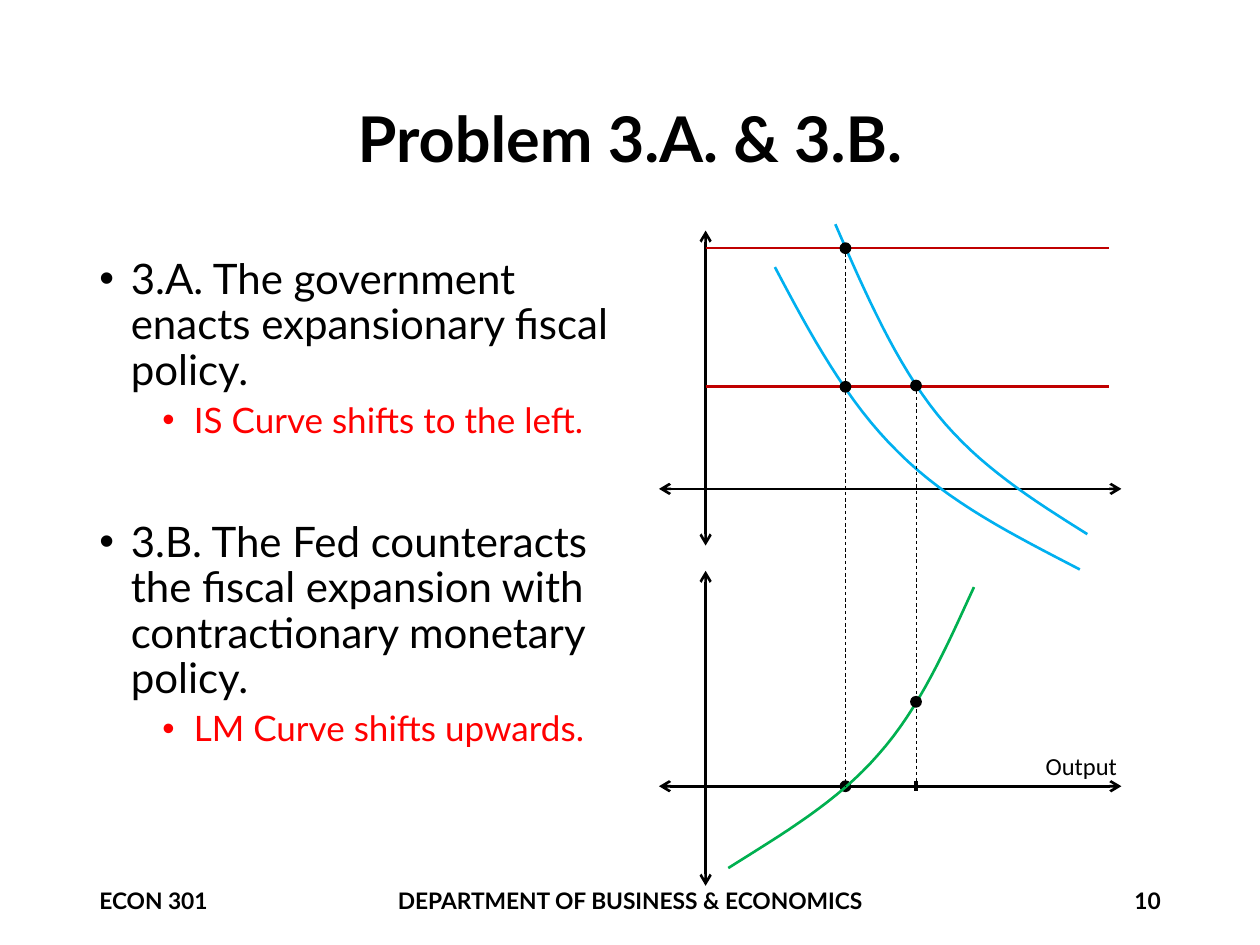
import pptx
import pptx.dml.color
import pptx.enum.dml
import pptx.enum.shapes
import pptx.enum.text
import pptx.oxml.ns
import pptx.util
from lxml import etree

PX = 9144
C = {"ink": "000000", "answer": "FF0000", "is": "00B0F0", "lm": "C00000", "output": "00B050"}
ALIGN = pptx.enum.text.PP_ALIGN
ANCHOR = pptx.enum.text.MSO_ANCHOR
AXIS_X, AXIS_Y = 560, 624
LOW_X, HIGH_X = 671, 727
RATE_LOW, RATE_HIGH = 307, 197


def px(*values):
    return [round(v * PX) for v in values]


def rgb(name):
    return pptx.dml.color.RGBColor.from_string(C[name])


def child(parent, tag, **attrs):
    return etree.SubElement(parent, pptx.oxml.ns.qn(tag), attrs)


def set_font(p, size, color="ink", bold=False, name="Lato"):
    p.font.name, p.font.size, p.font.bold = name, pptx.util.Pt(size), bold
    p.font.color.rgb = rgb(color)


def add_title(s, text, box):
    title = s.shapes.title
    title.left, title.top, title.width, title.height = px(*box)
    tf = title.text_frame
    tf.vertical_anchor = ANCHOR.MIDDLE
    tf.text = text
    p = tf.paragraphs[0]
    p.alignment, p.line_spacing = ALIGN.CENTER, 0.9
    set_font(p, 36, bold=True)


def add_label(s, text, box, size, align=ALIGN.LEFT, anchor=ANCHOR.MIDDLE, wrap=True, **font):
    tf = s.shapes.add_textbox(*px(*box)).text_frame
    tf.word_wrap, tf.vertical_anchor = wrap, anchor
    tf.text = text
    p = tf.paragraphs[0]
    p.alignment = align
    set_font(p, size, **font)


def add_bullets(s, items, box):
    tf = s.shapes.add_textbox(*px(*box)).text_frame
    tf.word_wrap = True
    for i, (text, level, before) in enumerate(items):
        p = tf.paragraphs[0] if i == 0 else tf.add_paragraph()
        p.text, p.level, p.line_spacing = text, level, 0.9
        p.space_before = pptx.util.Pt(before)
        pPr = p._p.get_or_add_pPr()
        pPr.set("marL", str(px(25 + 50 * level)[0]))
        pPr.set("indent", str(px(-25)[0]))
        child(pPr, "a:buFont", typeface="Arial")
        child(pPr, "a:buChar", char="•")
        set_font(p, 20 if level else 24, "answer" if level else "ink")


def add_line(s, x1, y1, x2, y2, color="ink", width=1.5, dash=False, arrows=False):
    c = s.shapes.add_connector(pptx.enum.shapes.MSO_CONNECTOR.STRAIGHT, *px(x1, y1, x2, y2))
    c.line.color.rgb = rgb(color)
    c.line.width = pptx.util.Pt(width)
    if dash:
        c.line.dash_style = pptx.enum.dml.MSO_LINE.DASH
    if arrows:
        ln = c.line._get_or_add_ln()
        for end in ("a:headEnd", "a:tailEnd"):
            child(ln, end, type="arrow")
    child(c._element.spPr, "a:effectLst")


def add_guide(s, x, top, bottom):
    add_line(s, x, top, x, bottom, width=0.5, dash=True)


def add_axis(s, *ends):
    add_line(s, *ends, arrows=True)


def bezier(points, t):
    weights = ((1 - t) ** 3, 3 * t * (1 - t) ** 2, 3 * t * t * (1 - t), t ** 3)
    return px(*(sum(w * v for w, v in zip(weights, axis)) for axis in zip(*points)))


def add_curve(s, points, color, steps=16):
    fb = s.shapes.build_freeform(*px(*points[0]))
    spots = [bezier(points[i:i + 4], n / steps)
             for i in range(0, len(points) - 1, 3) for n in range(1, steps + 1)]
    fb.add_line_segments(spots, close=False)
    curve = fb.convert_to_shape()
    curve.shadow.inherit = False
    curve.fill.background()
    curve.line.color.rgb = rgb(color)
    curve.line.width = pptx.util.Pt(1.5)


def add_dot(s, x, y):
    dot = s.shapes.add_shape(pptx.enum.shapes.MSO_SHAPE.OVAL, *px(x - 4, y - 4, 8, 8))
    dot.shadow.inherit = False
    dot.fill.solid()
    dot.fill.fore_color.rgb = rgb("ink")
    dot.line.color.rgb = rgb("ink")
    dot.line.width = pptx.util.Pt(1)


def add_diagram(s):
    add_dot(s, LOW_X, AXIS_Y)
    add_axis(s, 523, AXIS_Y, 890, AXIS_Y)
    add_curve(s, [(578, 689), (621, 662), (665, 636), (697, 599),
                  (730, 562), (751, 514), (773, 466)], "output")
    add_axis(s, AXIS_X, 183, AXIS_X, 433)
    add_axis(s, 523, 388, 890, 388)
    add_axis(s, AXIS_X, 453, AXIS_X, 703)
    add_line(s, AXIS_X, RATE_LOW, 880, RATE_LOW, "lm")
    add_curve(s, [(615, 212), (643, 265), (672, 319), (713, 359),
                  (753, 399), (805, 425), (857, 452)], "is")
    add_dot(s, LOW_X, RATE_LOW)
    add_guide(s, LOW_X, RATE_LOW + 4, AXIS_Y)
    add_label(s, "Output", (820, 591, 78, 34), 14, anchor=ANCHOR.TOP, wrap=False, name="Calibri")
    add_curve(s, [(663, 178), (687, 233), (711, 288), (744, 329),
                  (777, 370), (820, 397), (863, 424)], "is")
    add_dot(s, HIGH_X, RATE_LOW - 1)
    add_guide(s, HIGH_X, RATE_LOW + 3, AXIS_Y - 1)
    add_line(s, HIGH_X, AXIS_Y - 4, HIGH_X, AXIS_Y + 4, width=2.25)
    add_dot(s, HIGH_X, 557)
    add_line(s, AXIS_X, RATE_HIGH, 880, RATE_HIGH, "lm")
    add_dot(s, LOW_X, RATE_HIGH)
    add_guide(s, LOW_X, RATE_HIGH + 4, RATE_LOW - 4)


def main():
    prs = pptx.Presentation()
    prs.slide_width, prs.slide_height = px(1000, 750)
    s = prs.slides.add_slide(prs.slide_layouts[5])
    add_title(s, "Problem 3.A. & 3.B.", (69, 40, 862, 145))
    add_bullets(s, [
        ("3.A. The government enacts expansionary fiscal policy.", 0, 0),
        ("IS Curve shifts to the left.", 1, 5),
        ("3.B. The Fed counteracts the fiscal expansion with contractionary monetary policy.", 0, 46),
        ("LM Curve shifts upwards.", 1, 5),
    ], (69, 200, 447, 476))
    for text, left, width, align in (
        ("ECON 301", 69, 225, ALIGN.LEFT),
        ("DEPARTMENT OF BUSINESS & ECONOMICS", 185, 630, ALIGN.CENTER),
        ("10", 706, 225, ALIGN.RIGHT),
    ):
        add_label(s, text, (left, 695, width, 40), 13, align, bold=True)
    add_diagram(s)
    prs.save("out.pptx")


if __name__ == "__main__":
    main()
